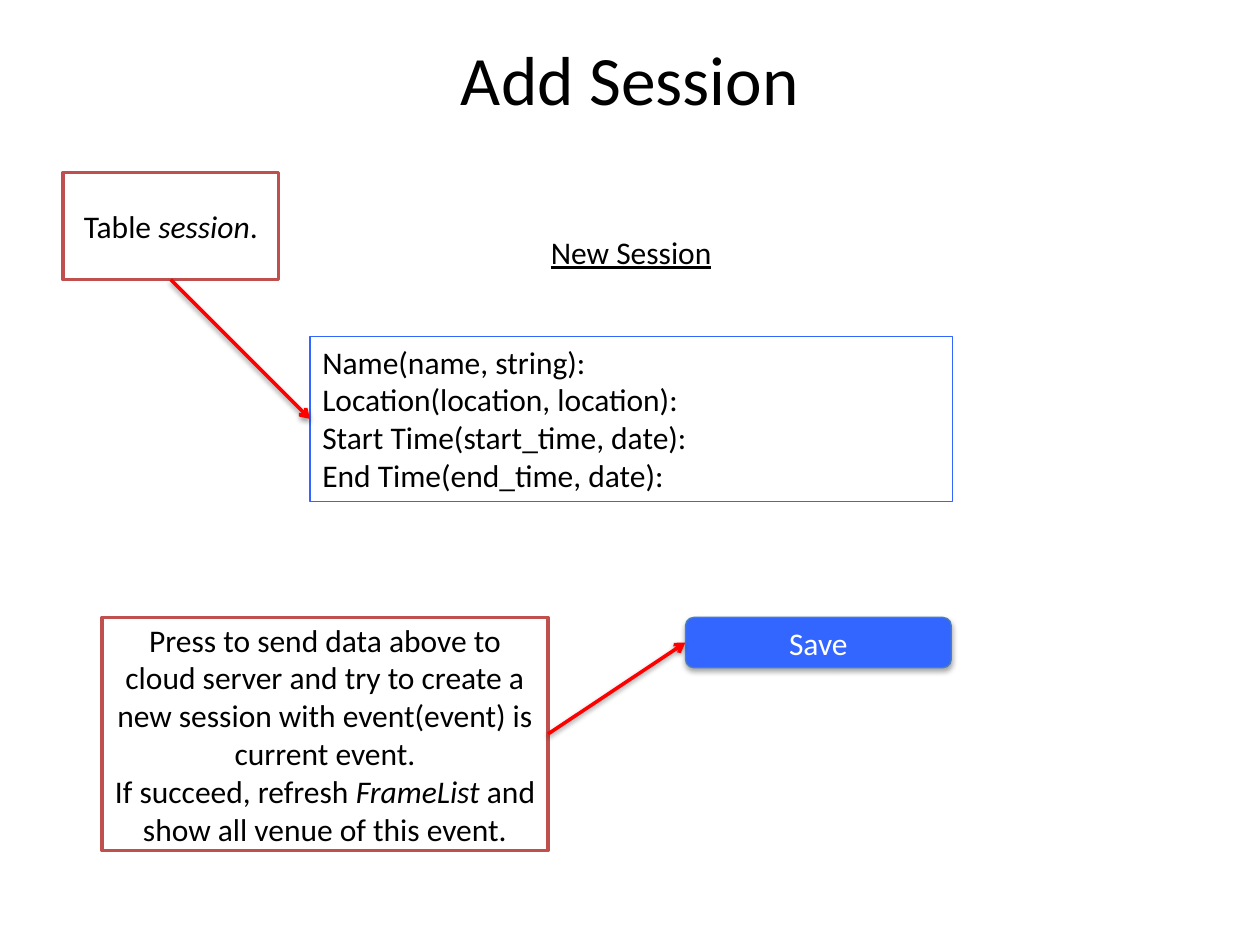
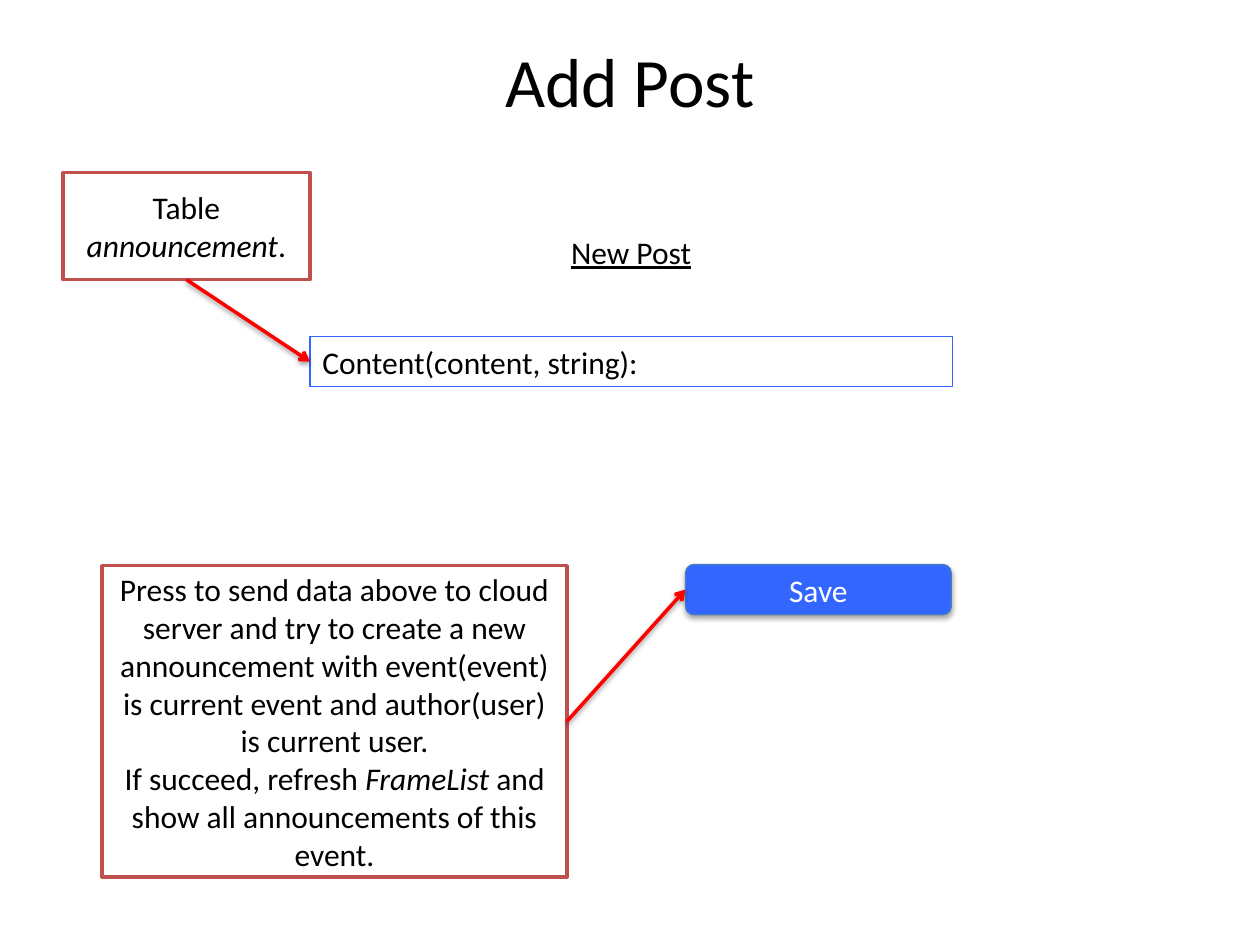
import pptx
import pptx.util
import pptx.dml.color
import pptx.enum.shapes
import pptx.enum.text
import pptx.oxml.ns
import lxml.etree

Inches = pptx.util.Inches
Pt = pptx.util.Pt
RGB = pptx.dml.color.RGBColor
KINDS = pptx.enum.shapes.MSO_SHAPE
ALIGN = pptx.enum.text.PP_ALIGN
ANCHOR = pptx.enum.text.MSO_ANCHOR
FIT = pptx.enum.text.MSO_AUTO_SIZE
qn = pptx.oxml.ns.qn

BLACK = RGB(0, 0, 0)
WHITE = RGB(255, 255, 255)
BLUE = RGB(0x33, 0x66, 0xFF)
STEEL = RGB(0x4B, 0x7E, 0xBC)
BRICK = RGB(0xC0, 0x50, 0x4D)
RED = RGB(255, 0, 0)

FONT = "Calibri"
LEFT, BOTTOM, RIGHT = 1, 2, 3  # glue points of a box
FORM_X, FORM_Y, FORM_W = 2.46, 2.67, 5.1

PAGES = [
    {
        "title": "Add Session", "title_h": 0.64, "head": "New Session",
        "fields": ["Name(name, string):", "Location(location, location):",
                   "Start Time(start_time, date):",
                   "End Time(end_time, date):"],
        "form_h": 1.31, "save_y": 4.9,
        "table": "session", "table_w": 1.71,
        "note": ["Press to send data above to cloud server and try to create "
                 "a new session with event(event) is current event.",
                 "If succeed, refresh *FrameList* and show all venue of this "
                 "event."],
        "note_box": (0.81, 4.9, 3.54, 1.85),
    },
    {
        "title": "Add Post", "title_h": 0.67, "head": "New Post",
        "fields": ["Content(content, string):"],
        "form_h": 0.4, "save_y": 4.48,
        "table": "announcement", "table_w": 1.96,
        "note": ["Press to send data above to cloud server and try to create "
                 "a new announcement with event(event) is current event and "
                 "author(user) is current user.",
                 "If succeed, refresh *FrameList* and show all announcements "
                 "of this event."],
        "note_box": (0.81, 4.49, 3.69, 2.47),
    },
]


def set_all(thing, values):
    """Set each attribute named in a dict."""
    for name, value in values.items():
        setattr(thing, name, value)


def write(shape, lines, align=ALIGN.CENTER, color=BLACK, size=18,
          under=None, **frame):
    """Write lines of text; words between stars are italic."""
    text = shape.text_frame
    set_all(text, {"word_wrap": True, "vertical_anchor": ANCHOR.MIDDLE,
                   **frame})
    for row, line in enumerate(lines):
        para = text.paragraphs[0] if row == 0 else text.add_paragraph()
        para.alignment = align
        for part, words in enumerate(line.split("*")):
            run = para.add_run()
            run.text = words
            set_all(run.font, {"name": FONT, "size": Pt(size),
                               "underline": under,
                               "italic": True if part % 2 else None})
            run.font.color.rgb = color


def cast(effects, blur, drop, alpha):
    """Fill an effect list with a soft black shadow straight below."""
    shade = lxml.etree.SubElement(effects, qn("a:outerShdw"), {
        "blurRad": str(Pt(blur)), "dist": str(Pt(drop)),
        "dir": "5400000", "rotWithShape": "0"})
    tint = lxml.etree.SubElement(shade, qn("a:srgbClr"), val=str(BLACK))
    lxml.etree.SubElement(tint, qn("a:alpha"), val=str(alpha * 1000))


def add_label(slide, place, words, **style):
    """Add a plain text box with one line."""
    box = slide.shapes.add_textbox(*map(Inches, place))
    write(box, [words], **style)


def add_box(slide, kind, place, lines, edge, width, fill=None, **style):
    """Add an outlined shape with text."""
    box = slide.shapes.add_shape(kind, *map(Inches, place))
    box.shadow.inherit = False
    if fill is None:
        box.fill.background()
    else:
        box.fill.solid()
        box.fill.fore_color.rgb = fill
    box.line.color.rgb = edge
    box.line.width = Pt(width)
    write(box, lines, **style)
    return box


def add_note(slide, place, lines):
    """Add a white comment box with a brick red outline."""
    return add_box(slide, KINDS.FLOWCHART_PROCESS, place, lines,
                   BRICK, 2, WHITE)


def add_arrow(slide, start, side, end):
    """Join one side of a box to the left side of another."""
    arrow = slide.shapes.add_connector(
        pptx.enum.shapes.MSO_CONNECTOR.STRAIGHT, 0, 0, 0, 0)
    arrow.begin_connect(start, side)
    arrow.end_connect(end, LEFT)
    arrow.line.color.rgb = RED
    arrow.line.width = Pt(2)
    props = arrow.element.spPr
    lxml.etree.SubElement(props.find(qn("a:ln")), qn("a:tailEnd"),
                          type="arrow")
    cast(lxml.etree.SubElement(props, qn("a:effectLst")), 3.1, 1.6, 38)


def add_page(deck, page):
    """Build one form page with its comments."""
    slide = deck.slides.add_slide(deck.slide_layouts[6])
    add_label(slide, (0.5, 0.3, 9, page["title_h"]), page["title"], size=39.6)
    grow = {"vertical_anchor": ANCHOR.TOP, "auto_size": FIT.SHAPE_TO_FIT_TEXT}
    add_label(slide, (3.06, 1.8, 3.9, 0.4), page["head"], under=True, **grow)
    form = add_box(slide, KINDS.RECTANGLE,
                   (FORM_X, FORM_Y, FORM_W, page["form_h"]), page["fields"],
                   BLUE, 0.75, align=ALIGN.LEFT, **grow)
    save = add_box(slide, KINDS.ROUNDED_RECTANGLE,
                   (5.44, page["save_y"], 2.11, 0.4), ["Save"],
                   STEEL, 0.75, BLUE, color=WHITE)
    cast(save.element.spPr.find(qn("a:effectLst")), 3.1, 1.8, 35)
    note = add_note(slide, page["note_box"], page["note"])
    add_arrow(slide, note, RIGHT, save)
    table = add_note(slide, (0.5, 1.37, page["table_w"], 0.85),
                     [f"Table *{page['table']}*."])
    add_arrow(slide, table, BOTTOM, form)


def main():
    """Build the deck and save it."""
    deck = pptx.Presentation()
    set_all(deck, {"slide_width": Inches(10), "slide_height": Inches(7.5)})
    for page in PAGES:
        add_page(deck, page)
    deck.save("out.pptx")


main()
